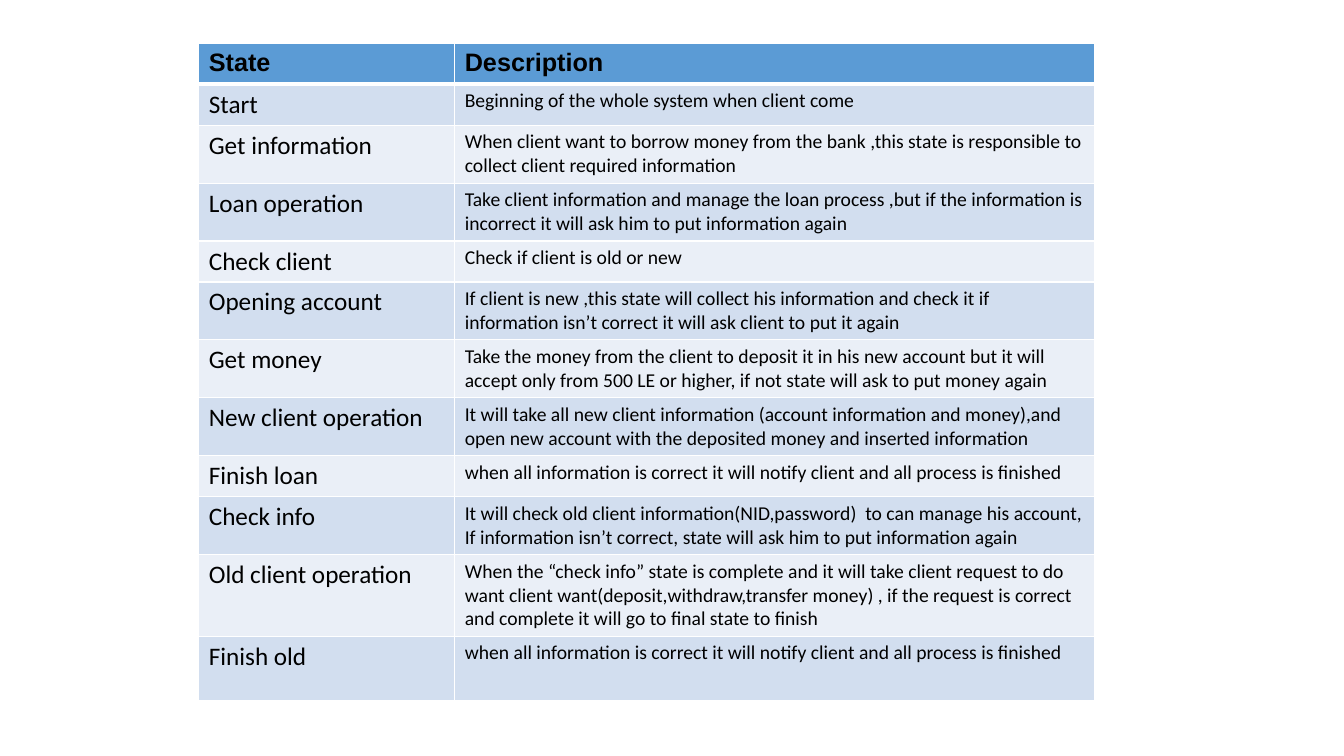
from lxml import etree
from pptx import Presentation
from pptx import util as u
from pptx.dml.color import RGBColor
from pptx.oxml.ns import qn

Pt = u.Pt
HEADER, BANDS, WHITE, BLACK = "5B9BD5", ("D2DEEF", "EAEFF7"), "FFFFFF", "000000"
ONE_LINE, TWO_LINES, THREE_LINES, LAST_ROW = 29.2, 41.4, 58.2, 45.7

# State, description, row height
STATES = [
    ("State", "Description", ONE_LINE),
    ("Start", "Beginning of the whole system when client come ", ONE_LINE),
    ("Get information", "When client want to borrow money from the bank ,this state is "
     "responsible to collect client required information", TWO_LINES),
    ("Loan operation", "Take client information and manage the loan process ,but if the "
     "information is incorrect it will ask him to put information again", TWO_LINES),
    ("Check client", "Check if client is old or new ", ONE_LINE),
    ("Opening account", "If client is new ,this state will collect his information and check "
     "it if information isn’t correct it will ask client to put it again", TWO_LINES),
    ("Get money", "Take the money from the client to deposit it in his new account but it "
     "will accept only from 500 LE or higher, if not state will ask to put money again",
     TWO_LINES),
    ("New client operation ", "It will take all new client information (account information "
     "and money),and open new account with the deposited money and inserted information",
     TWO_LINES),
    ("Finish loan", "when all information is correct it will notify client and all process "
     "is finished", ONE_LINE),
    ("Check info", "It will check old client information(NID,password)  to can manage his "
     "account,\nIf information isn’t correct, state will ask him to put information again ",
     TWO_LINES),
    ("Old client operation ", "When the “check info” state is complete and it will take "
     "client request to do want client want(deposit,withdraw,transfer money) , if the request "
     "is correct and complete it will go to final state to finish", THREE_LINES),
    ("Finish old", "when all information is correct it will notify client and all process "
     "is finished", LAST_ROW),
]


def rgb(color):
    return RGBColor.from_string(color)


def set_borders(cell, top, bottom):
    tcPr = cell._tc.get_or_add_tcPr()
    for side, width in (("L", 1), ("R", 1), ("T", top), ("B", bottom)):
        ln = etree.SubElement(tcPr, qn("a:ln" + side), w=str(Pt(width)))
        fill = etree.SubElement(ln, qn("a:solidFill"))
        etree.SubElement(fill, qn("a:srgbClr"), val=WHITE)


def fill_cell(cell, words, size, font, bold, color):
    cell.fill.solid()
    cell.fill.fore_color.rgb = rgb(color)
    tf = cell.text_frame
    tf.text = words
    for p in tf.paragraphs:
        for r in p.runs:
            r.font.size, r.font.name, r.font.bold = Pt(size), font, bold
            r.font.color.rgb = rgb(BLACK)


def add_state_table(s, left, top, width):
    height = sum(row[2] for row in STATES)
    table = s.shapes.add_table(len(STATES), 2, Pt(left), Pt(top), Pt(width), Pt(height)).table
    # The description column is two and a half times as wide as the state column
    for column, share in zip(table.columns, (2, 5)):
        column.width = Pt(width * share / 7)

    for i, (state, description, row_height) in enumerate(STATES):
        table.rows[i].height = Pt(row_height)
        header = i == 0
        color = HEADER if header else BANDS[(i - 1) % 2]
        font = "Arial" if header else "Calibri"
        for j, words in enumerate((state, description)):
            cell = table.cell(i, j)
            # A thick rule separates the header from the states
            set_borders(cell, 3 if i == 1 else 1, 3 if header else 1)
            size = 18 if header or j == 0 else 14
            fill_cell(cell, words, size, font, header, color)


prs = Presentation()
prs.slide_width, prs.slide_height = Pt(960), Pt(540)
s = prs.slides.add_slide(prs.slide_layouts[6])
add_state_table(s, 142, 31, 640)
prs.save("out.pptx")
